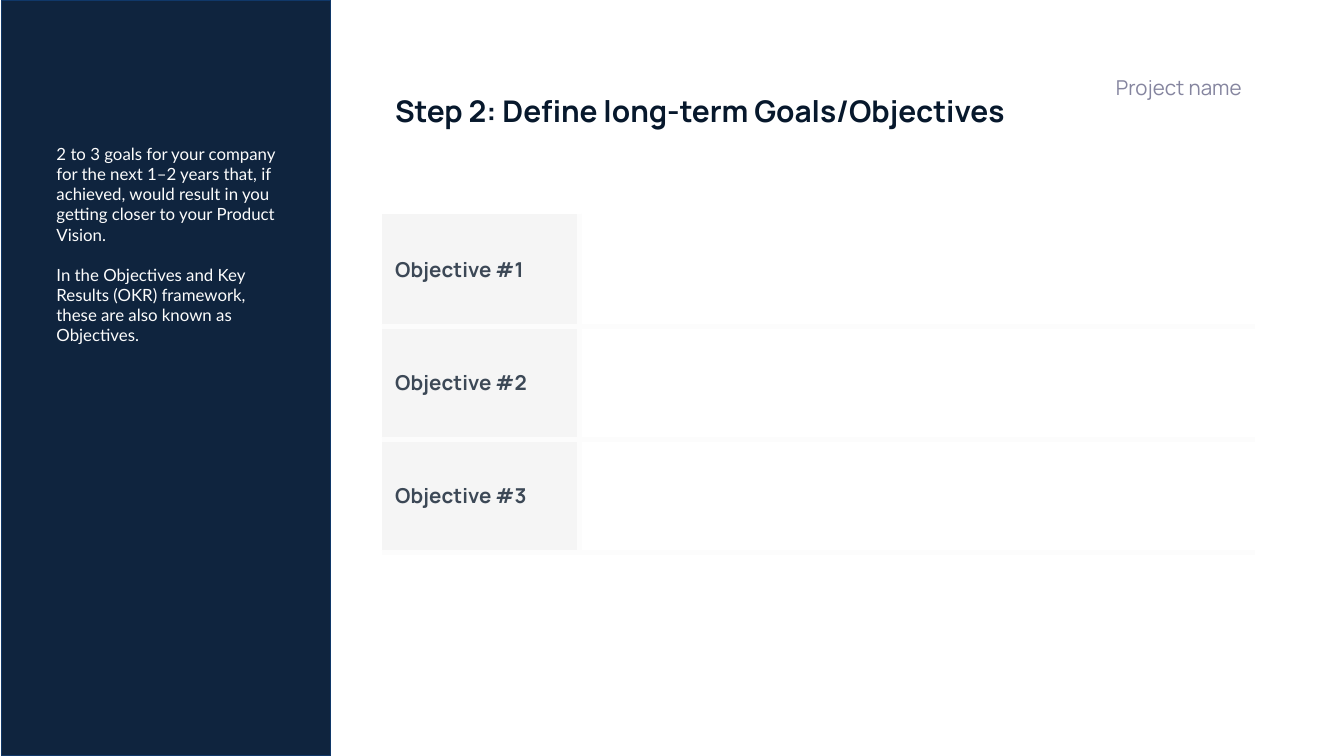
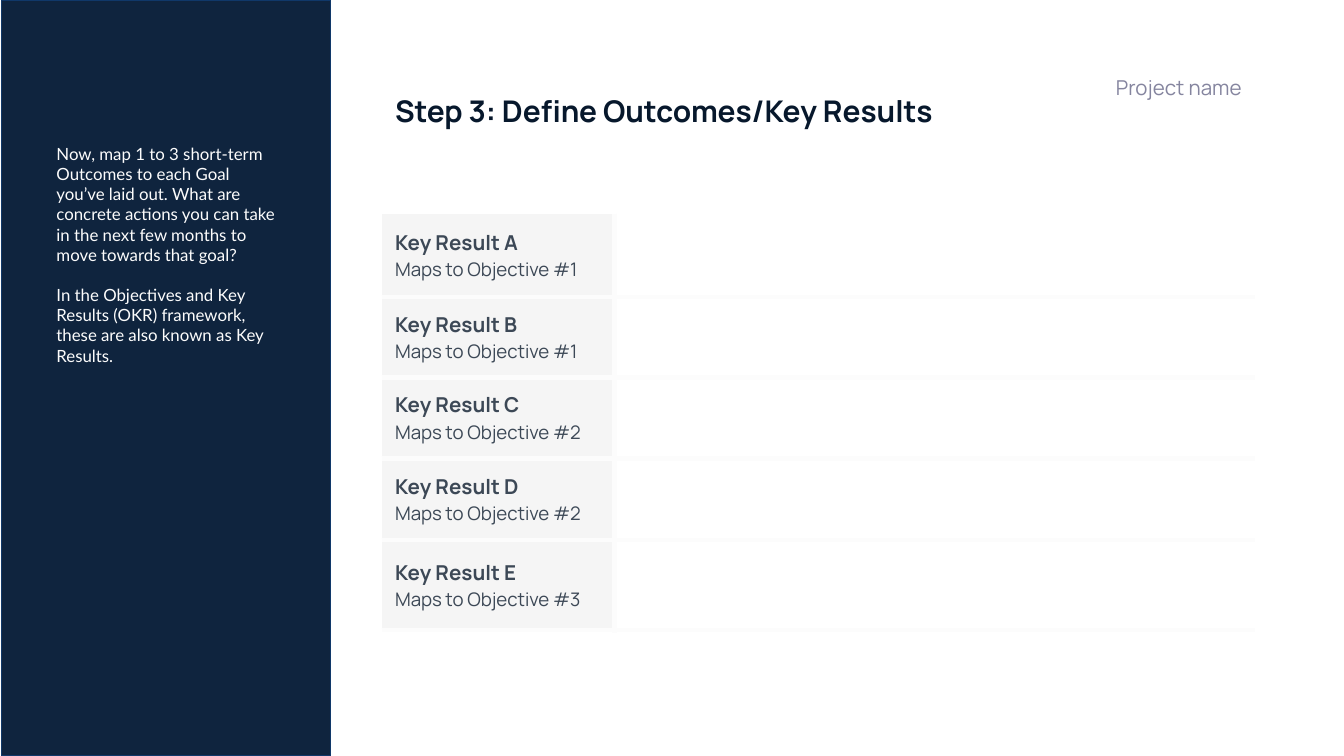
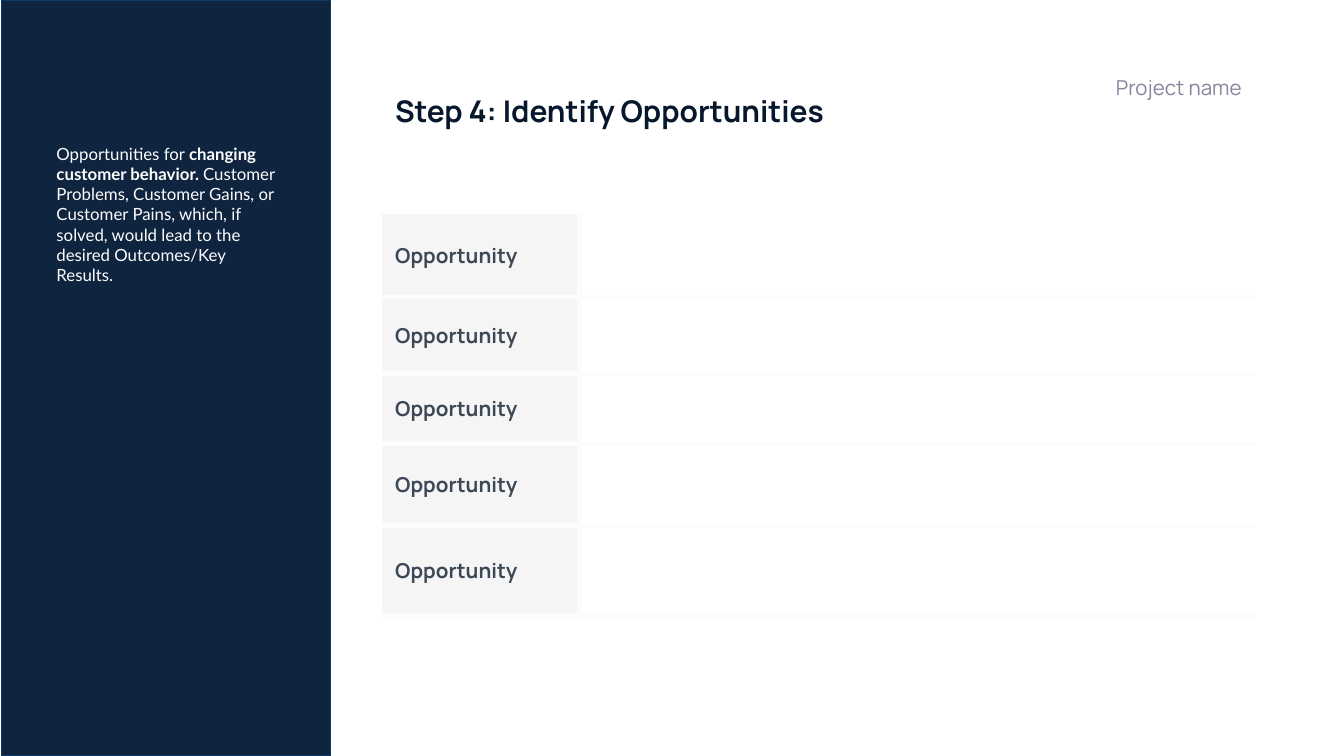
from lxml import etree
from pptx import Presentation
from pptx.dml.color import RGBColor
from pptx.enum.shapes import MSO_SHAPE
from pptx.enum.text import MSO_ANCHOR, MSO_AUTO_SIZE, PP_ALIGN
from pptx.oxml.ns import qn
from pptx.util import Inches, Pt

RECT = MSO_SHAPE.RECTANGLE
TOP, MID, LOW = MSO_ANCHOR.TOP, MSO_ANCHOR.MIDDLE, MSO_ANCHOR.BOTTOM
LEFT, RIGHT = PP_ALIGN.LEFT, PP_ALIGN.RIGHT
FIXED = MSO_AUTO_SIZE.NONE

COLS, ROWS = 100, 56.25
PLAIN = "{2D5ABB26-0587-4C30-8999-92F81FD0307C}"
HEAD, BODY = "Manrope", "Lato"
HUES = {
    "navy": "0F243E",
    "edge": "103869",
    "ink": "07182C",
    "mute": "85859F",
    "slate": "3C4856",
    "pale": "F5F5F5",
    "snow": "FCFCFC",
}

BAR = (0.1, 0, 24.5, ROWS)
NAME = (28.4, 5.9, 63.6, 4.7)
TAG = (77.8, 4.6, 15.6, 3.3)
GRID = (28.4, 15.9, 65)
THREE = [8.4] * 3
FIVE = [6.2, 5.7, 5.2, 6.1, 6.7]
OKR = "In the Objectives and Key Results (OKR) framework, these are also known as "

STEPS = [
    {
        "title": "Step 2: Define long-term Goals/Objectives",
        "notes": [
            ["2 to 3 goals for your company for the next 1–2 years that, if achieved, "
             "would result in you getting closer to your Product Vision."],
            [OKR + "Objectives."],
        ],
        "rows": THREE,
        "lead": 14.7,
        "labels": [[f"Objective #{n}"] for n in (1, 2, 3)],
    },
    {
        "title": "Step 3: Define Outcomes/Key Results",
        "notes": [
            ["Now, map 1 to 3 short-term Outcomes to each Goal you’ve laid out. What are "
             "concrete actions you can take in the next few months to move towards that goal?"],
            [OKR + "Key Results."],
        ],
        "rows": FIVE,
        "lead": 17.3,
        "labels": [[f"Key Result {key}", f"Maps to Objective #{n}"]
                   for key, n in zip("ABCDE", (1, 1, 2, 2, 3))],
    },
    {
        "title": "Step 4: Identify Opportunities",
        "notes": [
            ["Opportunities for ", "changing customer behavior. ",
             "Customer Problems, Customer Gains, or Customer Pains, which, if solved, "
             "would lead to the desired Outcomes/Key Results."],
        ],
        "rows": FIVE,
        "lead": 14.7,
        "labels": [["Opportunity"]] * 5,
    },
]


def unit(n):
    """Turn grid units into a length."""
    return Inches(n / 10)


def hue(key):
    """Look up a colour."""
    return RGBColor.from_string(HUES[key])


def style(para, face, size, tone, bold=False):
    """Set the font of a paragraph."""
    font = para.font
    font.name, font.size, font.bold = face, Pt(size), bold
    font.color.rgb = hue(tone)


def pad(item, side=1, low=1):
    """Set the insets of a cell or text frame."""
    item.margin_left = item.margin_right = unit(side)
    item.margin_top, item.margin_bottom = unit(1), unit(low)


def head(holder, box, text, size, tone, bold, align, anchor, low):
    """Move a heading placeholder into its box and fill it."""
    holder.left, holder.top, holder.width, holder.height = map(unit, box)
    frame = holder.text_frame
    frame.auto_size, frame.word_wrap = FIXED, True
    frame.vertical_anchor = anchor
    pad(frame, low=low)
    para = frame.paragraphs[0]
    para.text, para.alignment, para.space_before = text, align, Pt(0)
    style(para, HEAD, size, tone, bold)


def table(slide, x, y, cols, rows):
    """Add an unstyled table with the given column and row sizes."""
    frame = slide.shapes.add_table(len(rows), len(cols), unit(x), unit(y),
                                   unit(sum(cols)), unit(sum(rows)))
    grid = frame.table
    grid.first_row = grid.horz_banding = False
    frame._element.find(".//" + qn("a:tableStyleId")).text = PLAIN
    for col, size in zip(grid.columns, cols):
        col.width = unit(size)
    for row, size in zip(grid.rows, rows):
        row.height = unit(size)
    return grid


def paint(cell, tone):
    """Fill a cell with one colour."""
    cell.fill.solid()
    cell.fill.fore_color.rgb = hue(tone)


def rule(cell, sides):
    """Draw borders on the given sides of a cell, in L, R, T, B order."""
    props = cell._tc.get_or_add_tcPr()
    for spot, side in enumerate(sides):
        line = etree.Element(qn("a:ln" + side), w=str(Pt(3)))
        fill = etree.SubElement(line, qn("a:solidFill"))
        etree.SubElement(fill, qn("a:srgbClr"), val=HUES["snow"])
        props.insert(spot, line)


def panel(slide, box, notes):
    """Draw the side bar and its notes."""
    x, y = box[:2]
    bar = slide.shapes.add_shape(RECT, *map(unit, box))
    bar.shadow.inherit = False
    bar.fill.solid()
    bar.fill.fore_color.rgb = hue("navy")
    bar.line.color.rgb = hue("edge")
    bar.line.width = Pt(0.75)
    grid = table(slide, x + 2.1, y + 4.2, [6.2, 6.4, 8.1], [5.5, 5.4, 5.6, 5.6, 1.3])
    for first, last in ((0, 0), (1, 1), (2, 4)):
        grid.cell(first, 0).merge(grid.cell(last, 2))
        paint(grid.cell(first, 0), "navy")
    cell = grid.cell(1, 0)
    cell.vertical_anchor = MID
    pad(cell, side=2)
    frame = cell.text_frame
    for n, parts in enumerate(notes):
        para = frame.add_paragraph() if n else frame.paragraphs[0]
        para.space_before = Pt(10.8 if n else 0)
        style(para, BODY, 9, "snow")
        for spot, text in enumerate(parts):
            run = para.add_run()
            run.text = text
            if spot == 1:
                run.font.bold = True


def sheet(slide, box, lead, rows, labels):
    """Draw the worksheet table with its label column."""
    x, y, wide = box
    grid = table(slide, x, y, [lead, wide - lead], rows)
    for n, lines in enumerate(labels):
        cell, blank = grid.cell(n, 0), grid.cell(n, 1)
        cell.vertical_anchor = MID
        pad(cell)
        paint(cell, "pale")
        blank.fill.background()
        ends = "TB" if n else "B"
        rule(cell, "R" + ends)
        rule(blank, "L" + ends)
        frame = cell.text_frame
        frame.text = "\n".join(lines)
        for spot, para in enumerate(frame.paragraphs):
            style(para, HEAD, 10 if spot else 11, "slate", not spot)


def build(deck, step):
    """Add one step slide."""
    slide = deck.slides.add_slide(deck.slide_layouts[0])
    panel(slide, BAR, step["notes"])
    head(slide.shapes.title, NAME, step["title"], 16, "ink", True, LEFT, TOP, 1)
    head(slide.placeholders[1], TAG, "Project name", 11, "mute", False, RIGHT, LOW, 0.5)
    sheet(slide, GRID, step["lead"], step["rows"], step["labels"])


def main():
    """Build and save the deck."""
    deck = Presentation()
    deck.slide_width, deck.slide_height = unit(COLS), unit(ROWS)
    for step in STEPS:
        build(deck, step)
    deck.save("out.pptx")


if __name__ == "__main__":
    main()
